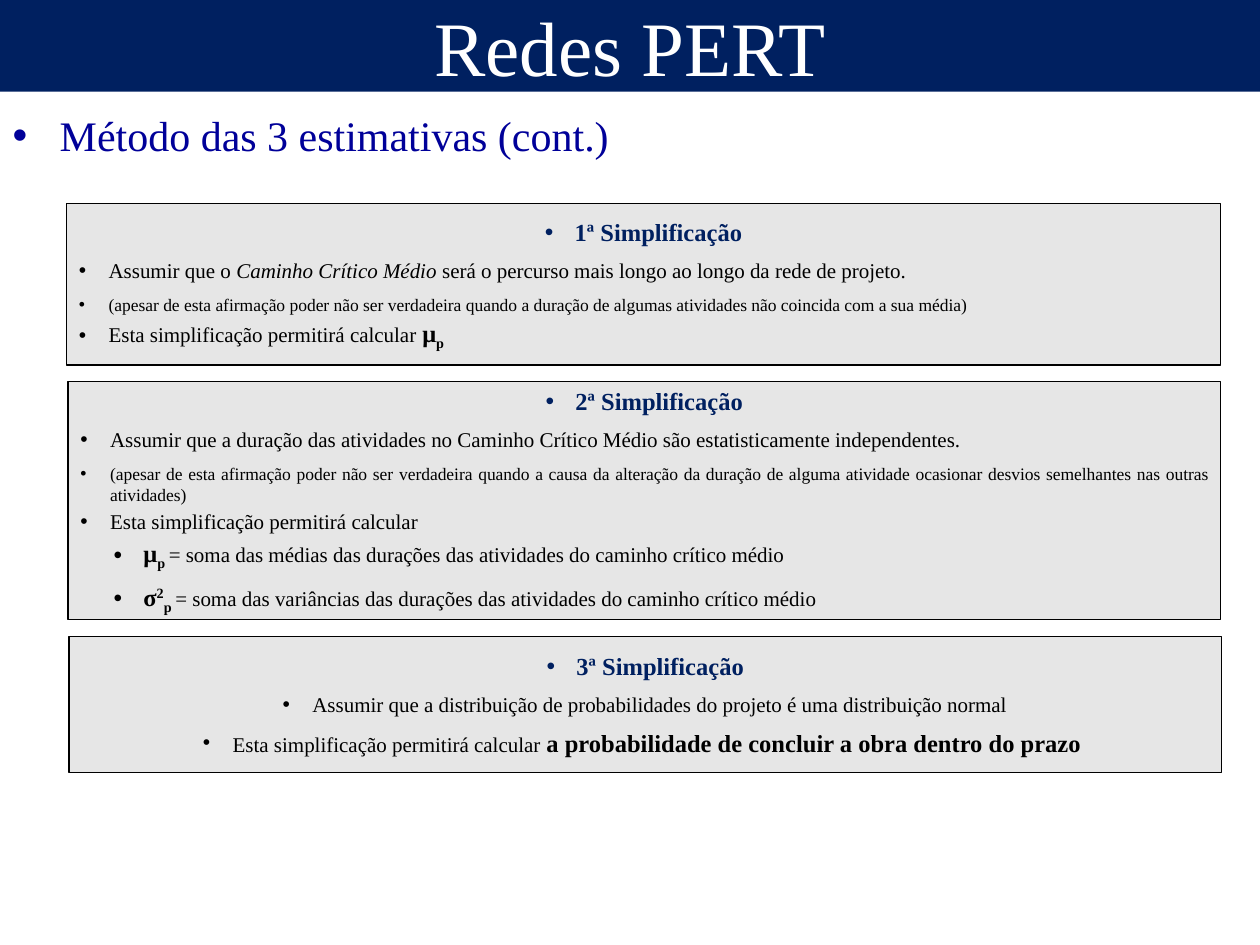
from dataclasses import dataclass

from lxml.etree import SubElement
from pptx import Presentation
from pptx.dml.color import RGBColor
from pptx.enum.shapes import MSO_SHAPE as Preset
from pptx.enum.text import MSO_ANCHOR as Anchor, MSO_AUTO_SIZE as AutoSize, PP_ALIGN as Align
from pptx.oxml.ns import qn
from pptx.util import Cm, Pt


@dataclass(frozen=True)
class Theme:
    font: str = "Times New Roman"
    navy: RGBColor = RGBColor(0x00, 0x20, 0x60)
    blue: RGBColor = RGBColor(0x00, 0x00, 0x99)
    grey: RGBColor = RGBColor(0xE6, 0xE6, 0xE6)
    black: RGBColor = RGBColor(0, 0, 0)
    white: RGBColor = RGBColor(255, 255, 255)
    title: int = 44
    topic: int = 24
    strong: int = 14
    text: int = 12
    note: int = 10


THEME = Theme()


@dataclass(frozen=True)
class Span:
    text: str
    size: int = THEME.text
    bold: bool = False
    italic: bool = False
    baseline: int = 0


@dataclass(frozen=True)
class Line:
    spans: tuple
    before: float = 0
    after: float = 0
    level: int = 0
    align: Align = Align.JUSTIFY
    color: RGBColor = THEME.black


def strong(text, baseline=0):
    return Span(text, THEME.strong, bold=True, baseline=baseline)


def heading(text):
    return Line((strong(text),), align=Align.CENTER, color=THEME.navy)


def claim(*spans, align=Align.JUSTIFY):
    return Line(spans, before=6.3, after=6.3, align=align)


def note(text):
    return Line((Span(text, THEME.note),))


def result(*spans):
    return Line(spans, before=2)


def formula(*spans):
    return Line(spans, before=2.8, after=2.8, level=1)


PANELS = [
    ((1.34, 4.11, 23.27, 3.25), [
        heading("1ª Simplificação"),
        claim(Span("Assumir que o "), Span("Caminho Crítico Médio", italic=True),
              Span(" será o percurso mais longo ao longo da rede de projeto. ")),
        note("(apesar de esta afirmação poder não ser verdadeira quando a duração de "
             "algumas atividades não coincida com a sua média)"),
        result(Span("Esta simplificação permitirá calcular "), strong("μ"), strong("p", -25)),
    ]),
    ((1.37, 7.69, 23.24, 4.8), [
        heading("2ª Simplificação"),
        claim(Span("Assumir que a duração das atividades no Caminho Crítico Médio são "
                   "estatisticamente independentes.")),
        note("(apesar de esta afirmação poder não ser verdadeira quando a causa da alteração "
             "da duração de alguma atividade ocasionar desvios semelhantes nas outras atividades)"),
        result(Span("Esta simplificação permitirá calcular ")),
        formula(strong("μ"), strong("p ", -25),
                Span("= soma das médias das durações das atividades do caminho crítico médio")),
        formula(strong("σ"), strong("2", 30), strong("p ", -25),
                Span("= soma das variâncias das durações das atividades do caminho crítico médio")),
    ]),
    ((1.39, 12.83, 23.24, 2.74), [
        heading("3ª Simplificação"),
        claim(Span("Assumir que a distribuição de probabilidades do projeto é uma "
                   "distribuição normal"), align=Align.CENTER),
        Line((Span("Esta simplificação permitirá calcular "),
              strong("a probabilidade de concluir a obra dentro do prazo ")), align=Align.CENTER),
    ]),
]


def place(shape, box):
    shape.left, shape.top, shape.width, shape.height = map(Cm, box)


def set_bullet(para, margin, hanging):
    props = para._p.get_or_add_pPr()
    props.set("marL", str(Cm(margin)))
    props.set("indent", str(-Cm(hanging)))
    SubElement(props, qn("a:buFont"), typeface="Arial")
    SubElement(props, qn("a:buChar"), char="•")


def set_font(para, color, size=None):
    para.font.name = THEME.font
    para.font.color.rgb = color
    if size:
        para.font.size = Pt(size)


def write_line(para, line):
    para.alignment = line.align
    para.level = line.level
    para.space_before, para.space_after = Pt(line.before), Pt(line.after)
    set_bullet(para, 0.6 + 0.67 * line.level, 0.6)
    set_font(para, line.color)
    for span in line.spans:
        run = para.add_run()
        run.text = span.text
        run.font.size = Pt(span.size)
        run.font.bold = span.bold
        run.font.italic = span.italic
        if span.baseline:
            run._r.get_or_add_rPr().set("baseline", str(span.baseline * 1000))


def add_panel(page, box, lines):
    panel = page.shapes.add_shape(Preset.RECTANGLE, *map(Cm, box))
    panel.shadow.inherit = False
    panel.fill.solid()
    panel.fill.fore_color.rgb = THEME.grey
    panel.line.color.rgb = THEME.black
    panel.line.width = Pt(0.75)
    frame = panel.text_frame
    frame.word_wrap = True
    frame.vertical_anchor = Anchor.MIDDLE
    for index, line in enumerate(lines):
        write_line(frame.add_paragraph() if index else frame.paragraphs[0], line)


def fill_title(title, box, text):
    place(title, box)
    title.fill.solid()
    title.fill.fore_color.rgb = THEME.navy
    frame = title.text_frame
    frame.text = text
    frame.auto_size = AutoSize.NONE
    frame.vertical_anchor = Anchor.MIDDLE
    para = frame.paragraphs[0]
    para.alignment = Align.CENTER
    set_font(para, THEME.white, THEME.title)


def fill_topic(body, box, text):
    place(body, box)
    frame = body.text_frame
    frame.text = text
    frame.auto_size = AutoSize.NONE
    para = frame.paragraphs[0]
    para.space_before = Pt(0)
    set_bullet(para, 0.95, 0.95)
    set_font(para, THEME.blue, THEME.topic)


def main():
    deck = Presentation()
    deck.slide_width, deck.slide_height = Cm(25.4), Cm(19.05)
    page = deck.slides.add_slide(deck.slide_layouts[1])
    fill_title(page.shapes.title, (0, 0, 25.4, 1.85), "Redes PERT")
    fill_topic(page.placeholders[1], (0, 2.08, 22.2, 1.7), "Método das 3 estimativas (cont.)")
    for box, lines in PANELS:
        add_panel(page, box, lines)
    deck.save("out.pptx")


if __name__ == "__main__":
    main()
